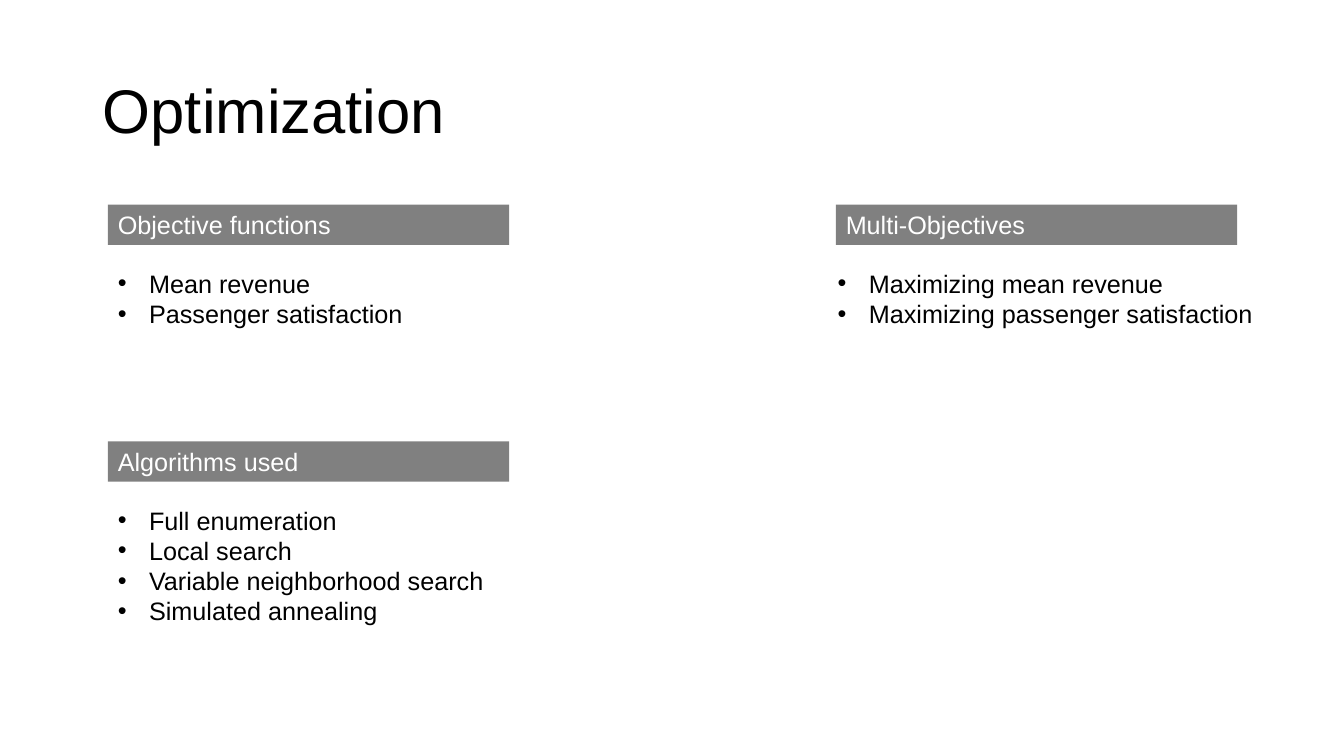
"""Build the Optimization slide: headed bullet lists placed on a two-column grid."""
import dataclasses

import lxml.etree
import pptx
import pptx.dml.color
import pptx.enum.shapes
import pptx.enum.text
import pptx.oxml.ns
import pptx.util

Inches = pptx.util.Inches


@dataclasses.dataclass(frozen=True)
class Theme:
    font: str = "Arial"
    ink: str = "000000"
    band: str = "808080"
    band_ink: str = "FFFFFF"
    title_size: int = 44
    body_size: int = 18


@dataclasses.dataclass(frozen=True)
class Grid:
    left: float = 1.07
    top: float = 2.03
    column_pitch: float = 7.22
    row_pitch: float = 2.35
    heading_width: float = 3.98
    heading_height: float = 0.4
    list_drop: float = 0.58
    line_height: float = 0.3
    list_padding: float = 0.1
    bullet_indent: float = 0.31

    def x(self, column: int) -> float:
        return self.left + column * self.column_pitch

    def y(self, row: int) -> float:
        return self.top + row * self.row_pitch


@dataclasses.dataclass(frozen=True)
class Section:
    column: int
    row: int
    heading: str
    points: tuple[str, ...]
    list_width: float
    list_shift: float = 0


THEME = Theme()
GRID = Grid()
SECTIONS = (
    Section(0, 0, "Objective functions", ("Mean revenue", "Passenger satisfaction"), 3.11),
    Section(0, 1, "Algorithms used", (
        "Full enumeration", "Local search",
        "Variable neighborhood search", "Simulated annealing"), 3.86),
    Section(1, 0, "Multi-Objectives", (
        "Maximizing mean revenue", "Maximizing passenger satisfaction"), 4.36, -0.08),
)


def write(paragraph, text: str, size: int, color: str) -> None:
    paragraph.alignment = pptx.enum.text.PP_ALIGN.LEFT
    run = paragraph.add_run()
    run.text = text
    run.font.name = THEME.font
    run.font.size = pptx.util.Pt(size)
    run.font.color.rgb = pptx.dml.color.RGBColor.from_string(color)


def add_bullet(paragraph) -> None:
    properties = paragraph._p.get_or_add_pPr()
    indent = Inches(GRID.bullet_indent)
    properties.set("marL", str(indent))
    properties.set("indent", str(-indent))
    for tag, name, value in (("a:buFont", "typeface", THEME.font), ("a:buChar", "char", "•")):
        lxml.etree.SubElement(properties, pptx.oxml.ns.qn(tag)).set(name, value)


def draw_title(slide, text: str) -> None:
    title = slide.shapes.title
    title.left, title.top = Inches(0.92), Inches(0.4)
    title.width, title.height = Inches(11.5), Inches(1.45)
    title.text_frame.vertical_anchor = pptx.enum.text.MSO_ANCHOR.MIDDLE
    paragraph = title.text_frame.paragraphs[0]
    paragraph.line_spacing = 0.9
    write(paragraph, text, THEME.title_size, THEME.ink)


def draw_heading(slide, section: Section) -> None:
    band = slide.shapes.add_shape(
        pptx.enum.shapes.MSO_SHAPE.RECTANGLE,
        Inches(GRID.x(section.column)), Inches(GRID.y(section.row)),
        Inches(GRID.heading_width), Inches(GRID.heading_height))
    band.shadow.inherit = False
    band.fill.solid()
    band.fill.fore_color.rgb = pptx.dml.color.RGBColor.from_string(THEME.band)
    band.line.fill.background()
    band.text_frame.vertical_anchor = pptx.enum.text.MSO_ANCHOR.MIDDLE
    write(band.text_frame.paragraphs[0], section.heading, THEME.body_size, THEME.band_ink)


def draw_points(slide, section: Section) -> None:
    height = GRID.list_padding + GRID.line_height * len(section.points)
    frame = slide.shapes.add_textbox(
        Inches(GRID.x(section.column) + section.list_shift),
        Inches(GRID.y(section.row) + GRID.list_drop),
        Inches(section.list_width), Inches(height)).text_frame
    frame.word_wrap = False
    frame.auto_size = pptx.enum.text.MSO_AUTO_SIZE.SHAPE_TO_FIT_TEXT
    for index, point in enumerate(section.points):
        paragraph = frame.add_paragraph() if index else frame.paragraphs[0]
        write(paragraph, point, THEME.body_size, THEME.ink)
        add_bullet(paragraph)


def main() -> None:
    deck = pptx.Presentation()
    deck.slide_width, deck.slide_height = Inches(13.33), Inches(7.5)
    slide = deck.slides.add_slide(deck.slide_layouts.get_by_name("Title Only"))
    draw_title(slide, "Optimization")
    for section in SECTIONS:
        draw_heading(slide, section)
        draw_points(slide, section)
    deck.save("out.pptx")


if __name__ == "__main__":
    main()
